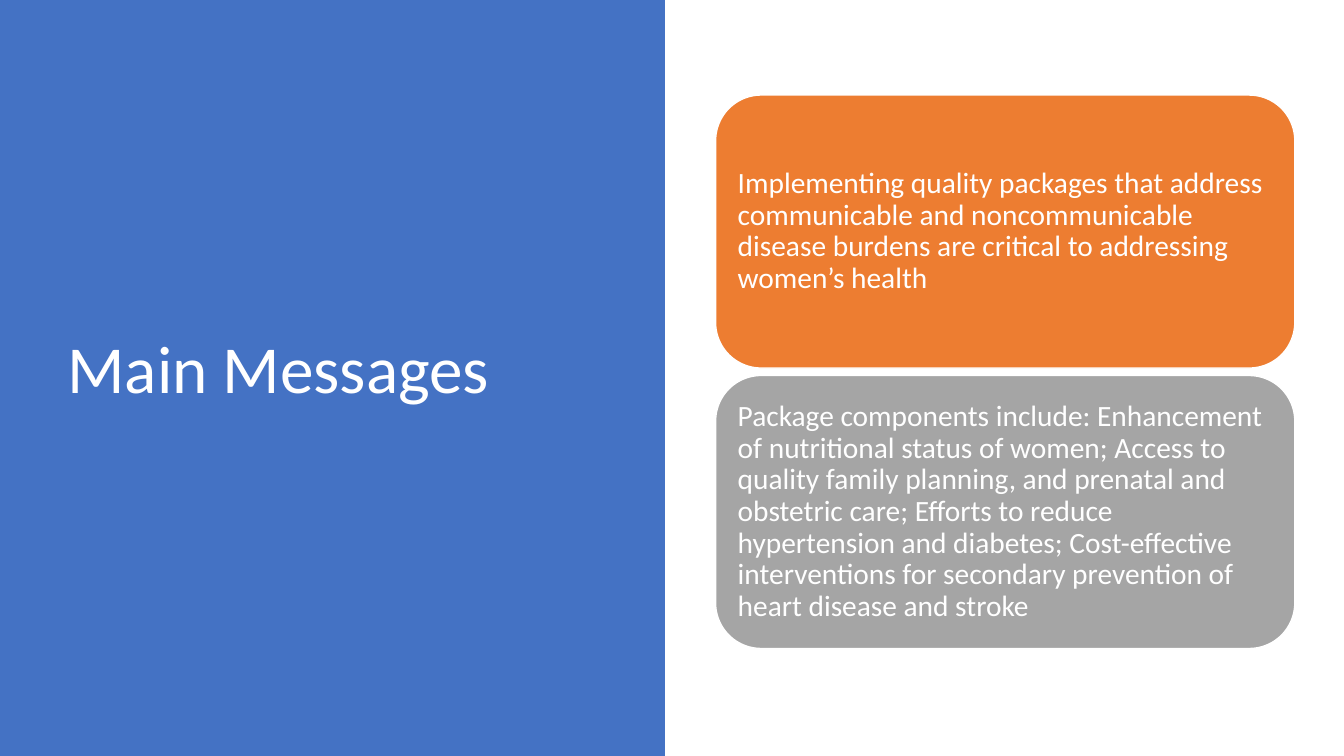
"""Build the Main Messages slide: a title panel beside two message cards."""
from pptx import Presentation
from pptx.dml.color import RGBColor as RGB
from pptx.enum.shapes import MSO_SHAPE as Shape
from pptx.enum.text import MSO_ANCHOR as Anchor, MSO_AUTO_SIZE as Fit, PP_ALIGN as Align
from pptx.util import Pt

COLORS = {"blue": "4472C4", "orange": "ED7D31", "gray": "A5A5A5", "white": "FFFFFF"}
CARDS = [
    ("orange", "Implementing quality packages that address communicable and "
     "noncommunicable disease burdens are critical to addressing women’s health"),
    ("gray", "Package components include: Enhancement of nutritional status of women; "
     "Access to quality family planning, and prenatal and obstetric care; Efforts to "
     "reduce hypertension and diabetes; Cost-effective interventions for secondary "
     "prevention of heart disease and stroke"),
]


def add_box(kind, left, top, width, height, color):
    box = slide.shapes.add_shape(kind, Pt(left), Pt(top), Pt(width), Pt(height))
    box.shadow.inherit = False
    box.fill.solid()
    box.fill.fore_color.rgb = RGB.from_string(COLORS[color])
    return box


def set_text(shape, text, size):
    frame = shape.text_frame
    frame.text = text
    frame.word_wrap = True
    frame.auto_size = Fit.NONE
    frame.vertical_anchor = Anchor.MIDDLE
    para = frame.paragraphs[0]
    para.alignment = Align.LEFT
    para.line_spacing = 0.9
    para.font.name = "Calibri"
    para.font.size = Pt(size)
    para.font.color.rgb = RGB.from_string(COLORS["white"])


deck = Presentation()
deck.slide_width, deck.slide_height = Pt(960), Pt(540)
slide = deck.slides.add_slide(deck.slide_layouts[5])

panel = add_box(Shape.RECTANGLE, 0, 0, 475, 540, "blue")
panel.line.fill.background()

title = slide.shapes.title
title.left, title.top, title.width, title.height = Pt(41), Pt(49), Pt(408), Pt(433.5)
set_text(title, "Main Messages", 48)
title.element.addprevious(panel.element)

for row, (color, text) in enumerate(CARDS):
    card = add_box(Shape.ROUNDED_RECTANGLE, 511.2, 67.9 + row * 200.3, 413.7, 195, color)
    card.line.color.rgb = RGB.from_string(COLORS["white"])
    card.line.width = Pt(1)
    set_text(card, text, 21)
    frame = card.text_frame
    frame.margin_left = frame.margin_right = Pt(6.3)
    frame.margin_top = frame.margin_bottom = Pt(6.3)

deck.save("out.pptx")
